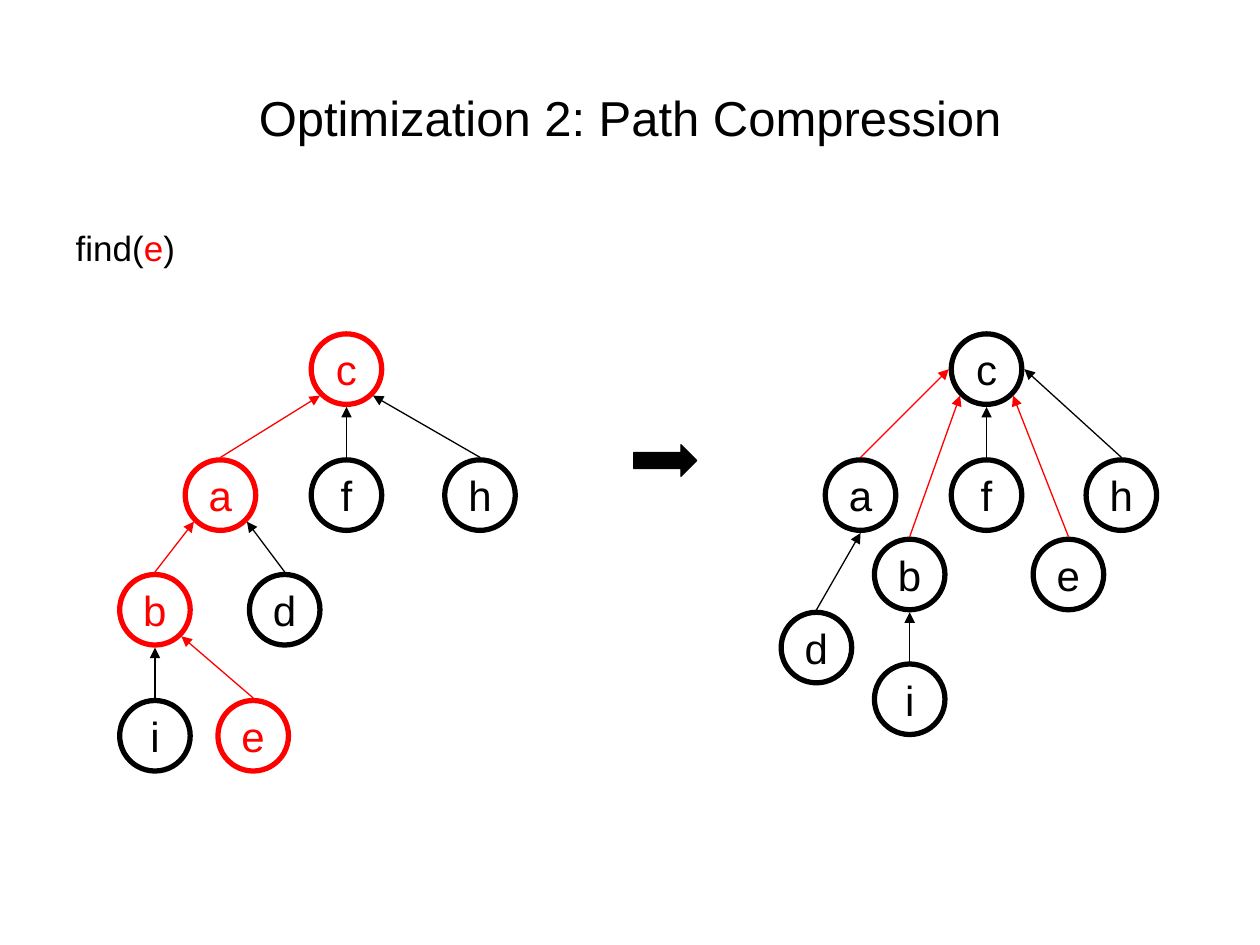
from lxml import etree
from pptx import Presentation
from pptx.dml.color import RGBColor
from pptx.enum.shapes import MSO_CONNECTOR, MSO_SHAPE
from pptx.enum.text import MSO_ANCHOR, PP_ALIGN
from pptx.oxml.ns import qn
from pptx.util import Inches, Pt

LINE = MSO_CONNECTOR.STRAIGHT
OVAL = MSO_SHAPE.OVAL
ARROW = MSO_SHAPE.RIGHT_ARROW
MIDDLE = MSO_ANCHOR.MIDDLE
CENTER = PP_ALIGN.CENTER

FONT = "Arial"
COLORS = {"black": "000000", "red": "FF0000"}

# The grid has 100 columns and 75 rows, each a tenth of an inch
CELL = Inches(0.1)
SIZE = 5.6    # node diameter in cells
REACH = 3.0   # from a node's centre to the end of a link
SIDES = {"left": (-1, 0), "bottom left": (-0.7, 0.7), "bottom": (0, 1),
         "bottom right": (0.7, 0.7), "right": (1, 0)}

# Node: column and row from the root, colour, parent, parent's side, link colour
BEFORE = {
    "c": (0, 0, "red", None, None, None),
    "a": (-10, 10, "red", "c", "bottom left", "red"),
    "f": (0, 10, "black", "c", "bottom", "black"),
    "h": (10.6, 10, "black", "c", "bottom right", "black"),
    "b": (-15.2, 19.1, "red", "a", "bottom left", "red"),
    "d": (-4.9, 19.1, "black", "a", "bottom right", "black"),
    "i": (-15.2, 29.1, "black", "b", "bottom", "black"),
    "e": (-7.4, 29.1, "red", "b", "bottom right", "red"),
}
AFTER = {
    "c": (0, 0, "black", None, None, None),
    "a": (-10, 10, "black", "c", "left", "red"),
    "f": (0, 10, "black", "c", "bottom", "black"),
    "h": (10.7, 10, "black", "c", "right", "black"),
    "b": (-6.1, 16.3, "black", "c", "bottom left", "red"),
    "e": (6.5, 16.3, "black", "c", "bottom right", "red"),
    "d": (-13.5, 22.1, "black", "a", "bottom", "black"),
    "i": (-6.1, 26.2, "black", "b", "bottom", "black"),
}


def grid(*cells):
    return [round(cell * CELL) for cell in cells]


def paint(color):
    return RGBColor.from_string(COLORS[color])


def add_run(para, text, size, color="black"):
    run = para.add_run()
    run.text = text
    run.font.name = FONT
    run.font.size = Pt(size)
    run.font.color.rgb = paint(color)


def place(holder, *cells):
    holder.left, holder.top, holder.width, holder.height = grid(*cells)
    return holder.text_frame.paragraphs[0]


def add_title(slide, text):
    para = place(slide.shapes.title, 5, 3, 90, 12.5)
    slide.shapes.title.text_frame.vertical_anchor = MIDDLE
    para.alignment = CENTER
    add_run(para, text, 28)


def add_body(slide, parts):
    para = place(slide.placeholders[1], 5, 17.5, 90, 49.5)
    # No bullet and no indent
    props = para._p.get_or_add_pPr()
    props.set("marL", "0")
    props.set("indent", "0")
    etree.SubElement(props, qn("a:buNone"))
    for text, color in parts:
        add_run(para, text, 20, color)


def add_node(slide, name, col, row, color):
    node = slide.shapes.add_shape(
        OVAL, *grid(col - SIZE / 2, row - SIZE / 2, SIZE, SIZE))
    node.shadow.inherit = False
    node.fill.background()
    node.line.color.rgb = paint(color)
    node.line.width = Pt(3)
    frame = node.text_frame
    frame.word_wrap = False
    frame.vertical_anchor = MIDDLE
    para = frame.paragraphs[0]
    para.alignment = CENTER
    add_run(para, name, 24, color)


def add_link(slide, child, parent, side, color):
    across, down = SIDES[side]
    link = slide.shapes.add_connector(LINE, *grid(
        child[0], child[1] - REACH,
        parent[0] + across * REACH, parent[1] + down * REACH))
    link.line.color.rgb = paint(color)
    link.line.width = Pt(0.75)
    # Arrowhead at the parent, and no shadow
    etree.SubElement(link.line._get_or_add_ln(), qn("a:tailEnd"), type="triangle")
    etree.SubElement(link._element.spPr, qn("a:effectLst"))


def add_tree(slide, left, top, nodes):
    spots = {name: (left + node[0], top + node[1]) for name, node in nodes.items()}
    for name, (_, _, color, parent, side, tint) in nodes.items():
        add_node(slide, name, *spots[name], color)
        if parent:
            add_link(slide, spots[name], spots[parent], side, tint)


def add_arrow(slide, *cells):
    arrow = slide.shapes.add_shape(ARROW, *grid(*cells))
    arrow.shadow.inherit = False
    arrow.fill.solid()
    arrow.fill.fore_color.rgb = paint("black")
    arrow.line.color.rgb = paint("black")
    arrow.line.width = Pt(0.75)


def main():
    deck = Presentation()
    deck.slide_width, deck.slide_height = grid(100, 75)
    slide = deck.slides.add_slide(deck.slide_layouts[1])

    # Heading and the call
    add_title(slide, "Optimization 2: Path Compression")
    add_body(slide, [("find(", "black"), ("e", "red"), (")", "black")])

    # The tree before and after
    add_tree(slide, 27.5, 29.3, BEFORE)
    add_arrow(slide, 50.3, 35.3, 5, 2.5)
    add_tree(slide, 78.3, 29.3, AFTER)

    deck.save("out.pptx")


if __name__ == "__main__":
    main()
